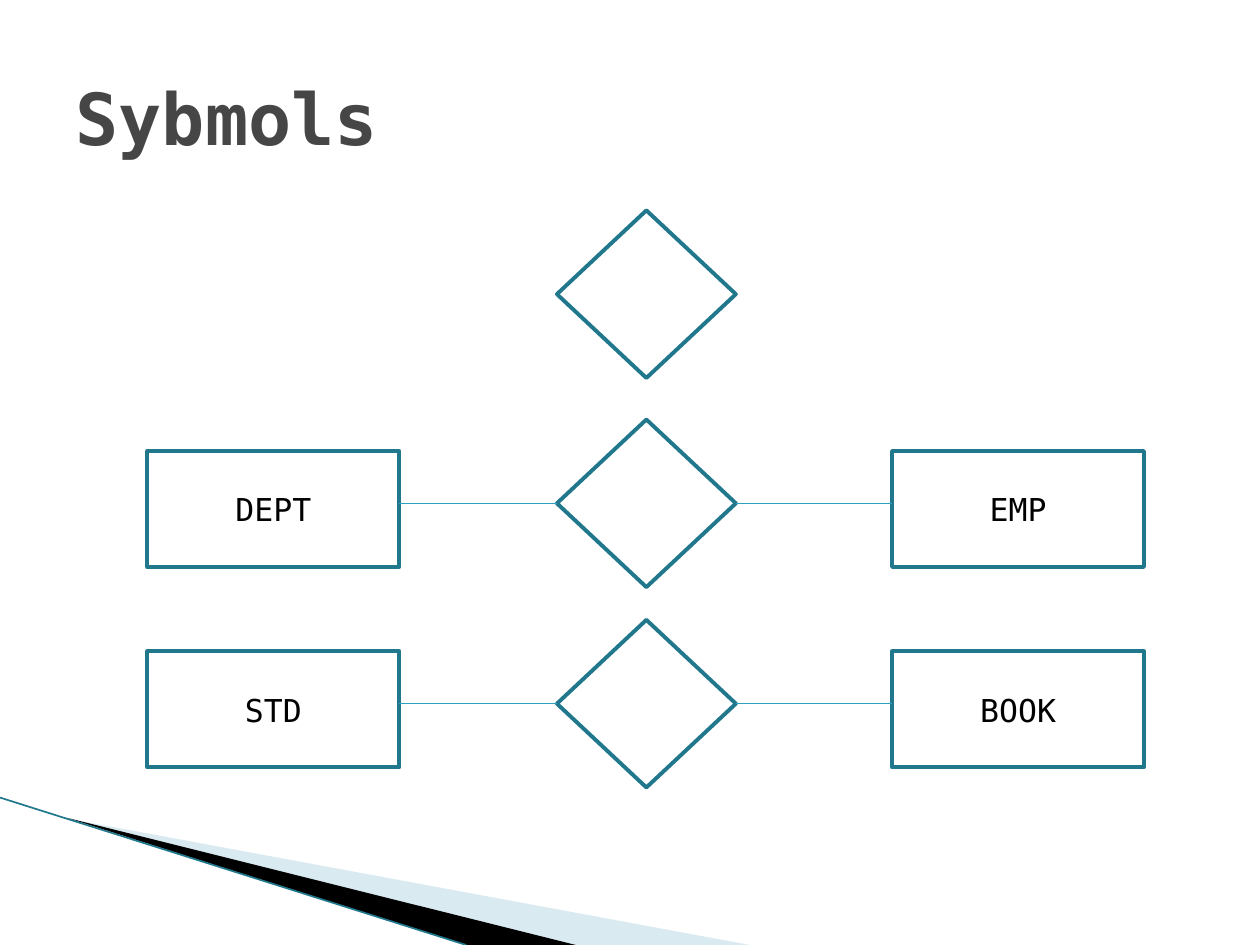
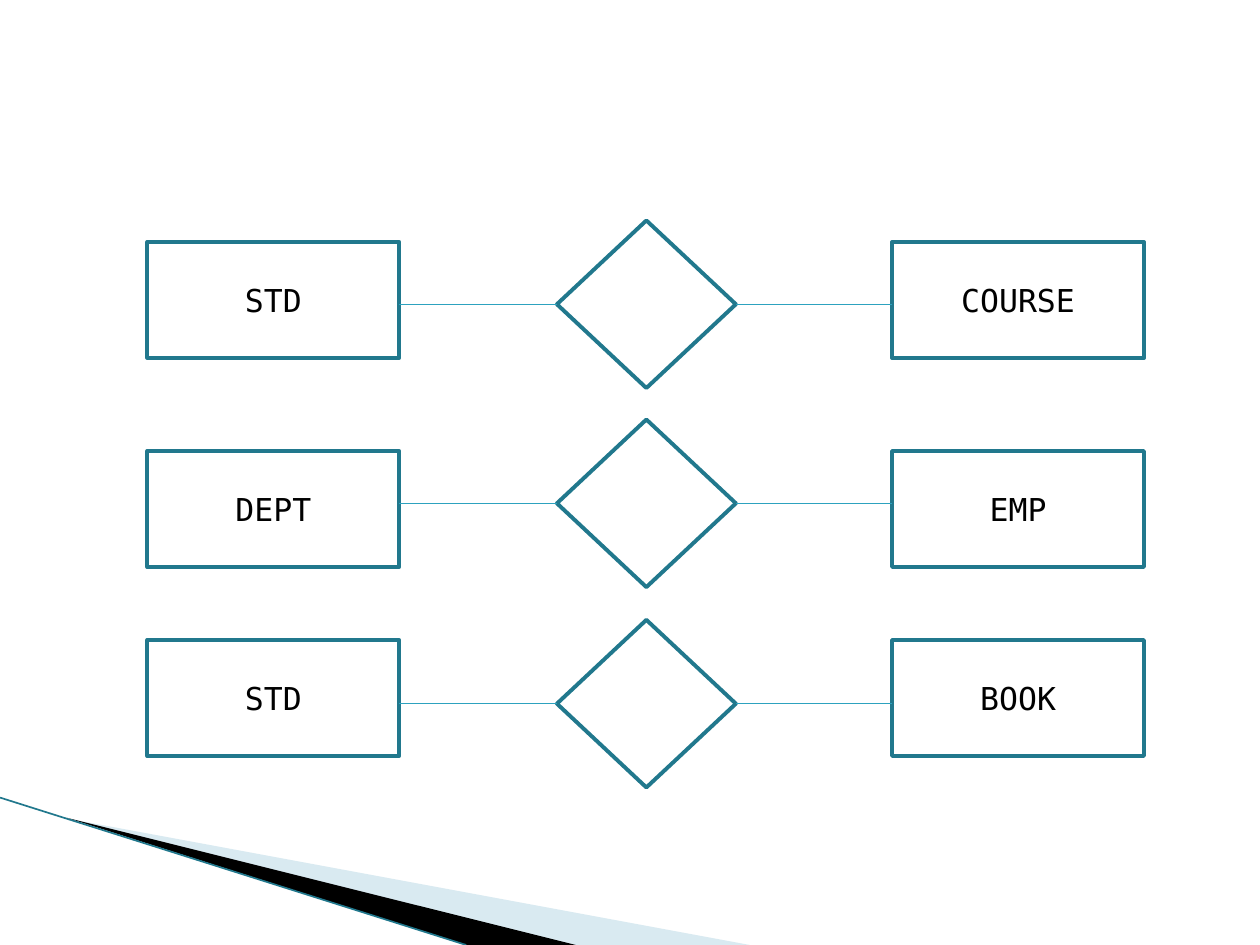
from dataclasses import dataclass

from lxml.etree import SubElement
from pptx import Presentation
from pptx.dml.color import RGBColor
from pptx.enum.shapes import MSO_CONNECTOR, MSO_SHAPE
from pptx.enum.text import MSO_ANCHOR, PP_ALIGN
from pptx.oxml.ns import qn
from pptx.util import Inches, Pt

SLIDES = [
    {
        "title": "Sybmols",
        "rows": [
            {"diamond_top": 1.67},
            {"diamond_top": 3.33, "entity_top": 3.58, "entities": ("DEPT", "EMP")},
            {"diamond_top": 4.92, "entity_top": 5.17, "entities": ("STD", "BOOK")},
        ],
    },
    {
        "title": None,
        "rows": [
            {"diamond_top": 1.75, "entity_top": 1.92, "entities": ("STD", "COURSE")},
            {"diamond_top": 3.33, "entity_top": 3.58, "entities": ("DEPT", "EMP")},
            {"diamond_top": 4.92, "entity_top": 5.08, "entities": ("STD", "BOOK")},
        ],
    },
]

PALE_WEDGE = [(0.55, 6.5), (5.95, 7.5), (4.56, 7.5)]
BLACK_WEDGE = [(0.53, 6.49), (4.57, 7.5), (3.7, 7.5)]
EDGE_LINE = [(0, 6.33), (3.7, 7.5)]

TITLE_BOX = (0.5, 0.3, 9, 1.25)
ENTITY_SIZE = (2, 0.92)
ENTITY_LEFTS = (1.17, 7.08)
ENTITY_INNER_EDGES = (3.17, 7.08)
DIAMOND_SIZE = (1.42, 1.33)
DIAMOND_LEFT = 4.42
DIAMOND_SIDES = (1, 3)


@dataclass(frozen=True)
class Theme:
    font: str = "DejaVu Sans Mono"
    title_size: float = 41
    entity_size: float = 18
    title: str = "464646"
    text: str = "000000"
    paper: str = "FFFFFF"
    outline: str = "21788D"
    link: str = "2DA2BF"
    pale_wedge: str = "A0CBDC"
    black_wedge: str = "000000"
    outline_width: float = 2.25
    link_width: float = 0.75
    edge_width: float = 0.95


THEME = Theme()


def color(value):
    return RGBColor.from_string(value)


def write(shape, text, size, text_color, alignment, bold=False):
    frame = shape.text_frame
    frame.word_wrap = True
    frame.vertical_anchor = MSO_ANCHOR.MIDDLE
    paragraph = frame.paragraphs[0]
    paragraph.alignment = alignment
    run = paragraph.add_run()
    run.text = text
    run.font.name = THEME.font
    run.font.size = Pt(size)
    run.font.bold = bold
    run.font.color.rgb = color(text_color)


def add_line(slide, start, end, line_color, width):
    points = [Inches(value) for value in (*start, *end)]
    line = slide.shapes.add_connector(MSO_CONNECTOR.STRAIGHT, *points)
    line.line.color.rgb = color(line_color)
    line.line.width = Pt(width)
    SubElement(line.element.spPr, qn("a:effectLst"))
    return line


def add_wedge(slide, points, fill_color, opacity=100):
    corners = [(Inches(x), Inches(y)) for x, y in points]
    builder = slide.shapes.build_freeform(*corners[0])
    builder.add_line_segments(corners[1:], close=True)
    wedge = builder.convert_to_shape()
    wedge.shadow.inherit = False
    wedge.fill.solid()
    wedge.fill.fore_color.rgb = color(fill_color)
    wedge.line.fill.background()
    if opacity < 100:
        fill = wedge.element.spPr.find(qn("a:solidFill"))
        SubElement(fill[0], qn("a:alpha"), val=str(opacity * 1000))


def add_corner_band(slide):
    add_wedge(slide, PALE_WEDGE, THEME.pale_wedge, opacity=40)
    add_wedge(slide, BLACK_WEDGE, THEME.black_wedge)
    add_line(slide, *EDGE_LINE, THEME.outline, THEME.edge_width)


def add_title(slide, text):
    title = slide.shapes.title
    title.left, title.top, title.width, title.height = map(Inches, TITLE_BOX)
    write(title, text, THEME.title_size, THEME.title, PP_ALIGN.LEFT, bold=True)


def add_symbol(slide, kind, left, top, size):
    symbol = slide.shapes.add_shape(kind, *map(Inches, (left, top, *size)))
    symbol.shadow.inherit = False
    symbol.line.color.rgb = color(THEME.outline)
    symbol.line.width = Pt(THEME.outline_width)
    return symbol


def add_entity(slide, left, top, name):
    entity = add_symbol(slide, MSO_SHAPE.RECTANGLE, left, top, ENTITY_SIZE)
    entity.fill.solid()
    entity.fill.fore_color.rgb = color(THEME.paper)
    write(entity, name, THEME.entity_size, THEME.text, PP_ALIGN.CENTER)


def add_relationship(slide, diamond_top, entity_top=None, entities=()):
    diamond = add_symbol(slide, MSO_SHAPE.DIAMOND, DIAMOND_LEFT, diamond_top, DIAMOND_SIZE)
    diamond.fill.background()
    middle = diamond_top + DIAMOND_SIZE[1] / 2
    for name, left, edge, side in zip(entities, ENTITY_LEFTS, ENTITY_INNER_EDGES, DIAMOND_SIDES):
        add_entity(slide, left, entity_top, name)
        link = add_line(slide, (DIAMOND_LEFT, middle), (edge, middle), THEME.link, THEME.link_width)
        link.begin_connect(diamond, side)


def main():
    presentation = Presentation()
    presentation.slide_width = Inches(10)
    presentation.slide_height = Inches(7.5)
    title_only, blank = presentation.slide_layouts[5], presentation.slide_layouts[6]
    for content in SLIDES:
        slide = presentation.slides.add_slide(title_only if content["title"] else blank)
        add_corner_band(slide)
        if content["title"]:
            add_title(slide, content["title"])
        for row in content["rows"]:
            add_relationship(slide, **row)
    presentation.save("out.pptx")


if __name__ == "__main__":
    main()
